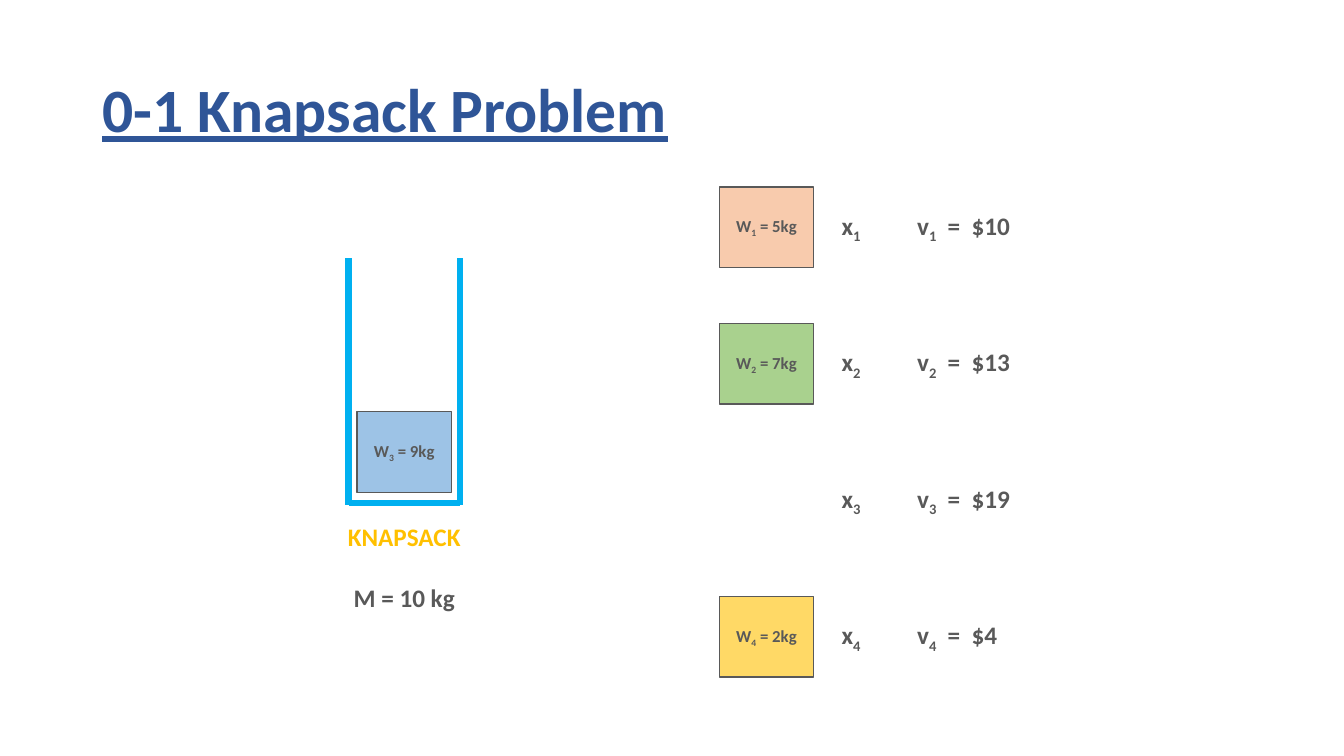
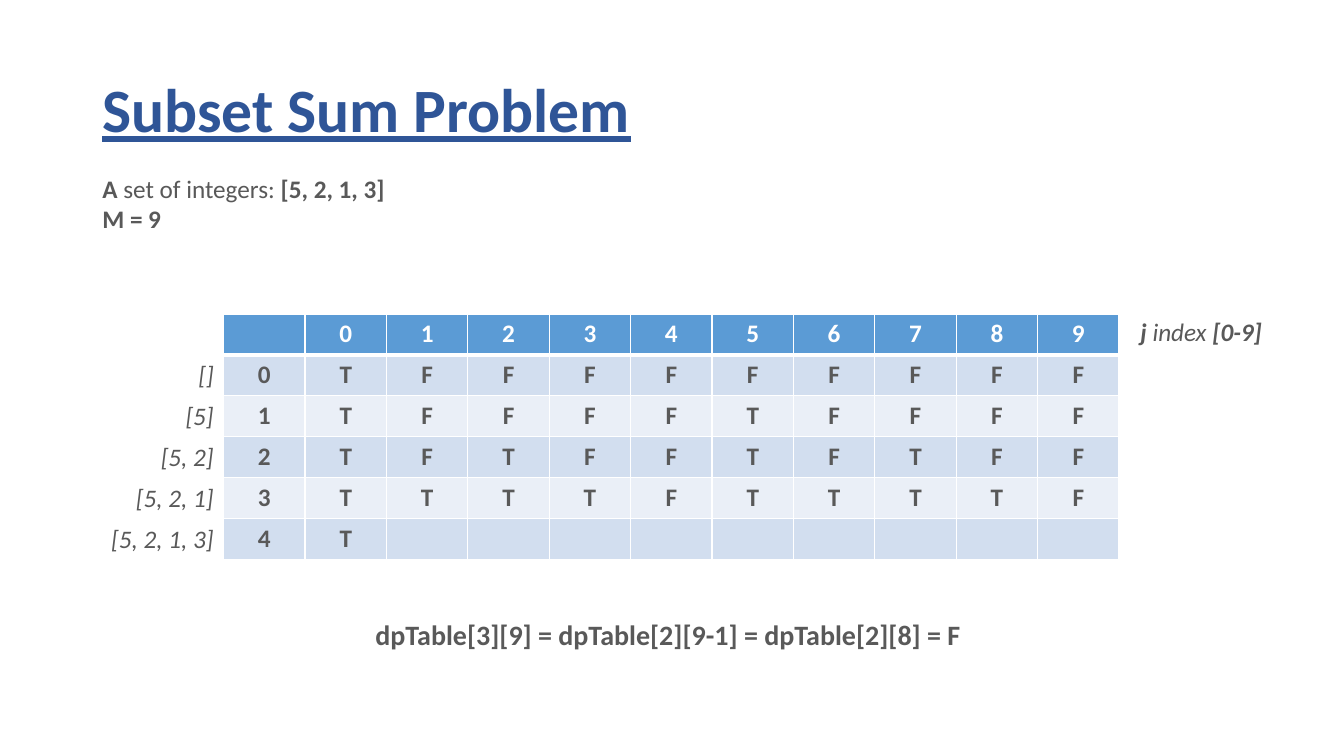
from lxml import etree
from pptx import Presentation
from pptx import util as u
from pptx.dml.color import RGBColor
from pptx.enum import shapes, text
from pptx.oxml import ns

PX = 9525  # EMU per px, 96 px to the inch
FONT = "Calibri"
COLORS = {
    "title": "2F5597", "ink": "595959", "white": "FFFFFF",
    "knapsack": "00B0F0", "caption": "FFC000",
    "item1": "F8CBAD", "item2": "A9D18E", "item3": "9DC3E6", "item4": "FFD966",
    "header": "5B9BD5", "band_dark": "D2DEEF", "band_light": "EAEFF7",
}
ITEM_W, ITEM_H = 90, 77
LEFT, CENTER, RIGHT = text.PP_ALIGN.LEFT, text.PP_ALIGN.CENTER, text.PP_ALIGN.RIGHT
TOP, MIDDLE = text.MSO_ANCHOR.TOP, text.MSO_ANCHOR.MIDDLE


def px(*lengths):
    return [u.Emu(length * PX) for length in lengths]


def color(key):
    return RGBColor.from_string(COLORS[key])


def write(paragraph, pieces, size=18, ink="ink", align=LEFT):
    """Write (text, style) pieces; style letters: b bold, i italic, u underline, s subscript."""
    paragraph.alignment = align
    for words, style in pieces:
        run = paragraph.add_run()
        run.text = words
        font = run.font
        font.name, font.size, font.color.rgb = FONT, u.Pt(size), color(ink)
        font.bold, font.italic, font.underline = ("b" in style, "i" in style, "u" in style)
        if "s" in style:
            run._r.get_or_add_rPr().set("baseline", "-25000")


def add_label(slide, box, pieces, anchor=TOP, **look):
    frame = slide.shapes.add_textbox(*px(*box)).text_frame
    frame.word_wrap = True
    frame.vertical_anchor = anchor
    write(frame.paragraphs[0], pieces, **look)
    return frame


def add_title(slide, title):
    frame = add_label(slide, (88, 38, 1104, 139), [(title, "bu")], MIDDLE,
                      size=44, ink="title")
    frame.paragraphs[0].line_spacing = 0.9


def add_tabs(paragraph, stops):
    tabs = etree.SubElement(paragraph._p.get_or_add_pPr(), ns.qn("a:tabLst"))
    for stop in stops:
        etree.SubElement(tabs, ns.qn("a:tab"), pos=str(stop * PX), algn="l")


def add_item_block(slide, left, top, number, weight):
    block = slide.shapes.add_shape(shapes.MSO_SHAPE.RECTANGLE,
                                   *px(left, top, ITEM_W, ITEM_H))
    block.shadow.inherit = False
    block.fill.solid()
    block.fill.fore_color.rgb = color(f"item{number}")
    block.line.color.rgb = color("ink")
    block.line.width = u.Pt(1)
    block.text_frame.vertical_anchor = MIDDLE
    write(block.text_frame.paragraphs[0],
          [("W", "b"), (str(number), "bs"), (f" = {weight}kg", "b")],
          size=12, align=CENTER)


def add_item_value(slide, left, top, number, value):
    frame = add_label(slide, (left, top, 220, ITEM_H), [], MIDDLE)
    value_line = frame.paragraphs[0]
    add_tabs(value_line, (72, 101, 124))
    write(value_line, [("x", "b"), (str(number), "bs"), ("\tv", "b"),
                       (str(number), "bs"), (f"\t=\t${value}", "b")])


def add_knapsack(slide, left, top, width, height, capacity):
    """Draw the open container with its caption and capacity below."""
    right, bottom, base = left + width, top + height, top + height - 2
    for ends in ((left, top, left, bottom), (left, base, right, base),
                 (right, bottom, right, top)):
        wall = slide.shapes.add_connector(shapes.MSO_CONNECTOR.STRAIGHT, *px(*ends))
        wall.line.color.rgb = color("knapsack")
        wall.line.width = u.Pt(4.5)
        etree.SubElement(wall._element.spPr, ns.qn("a:effectLst"))
    caption = add_label(slide, (left - 20, bottom + 11, width + 40, 97),
                        [("KNAPSACK", "b")], ink="caption", align=CENTER)
    limit = caption.add_paragraph()
    limit.space_before = u.Pt(22)
    write(limit, [(f"M = {capacity} kg", "b")], align=CENTER)


def build_knapsack_slide(slide):
    items = ((5, 10), (7, 13), (9, 19), (2, 4))
    packed = 3
    sack_left, sack_top, sack_w, sack_h = 332, 246, 106, 235
    list_left, list_top, pitch = 685, 178, 130

    add_title(slide, "0-1 Knapsack Problem")
    add_knapsack(slide, sack_left, sack_top, sack_w, sack_h, 10)
    for number, (weight, value) in enumerate(items, 1):
        top = list_top + (number - 1) * pitch
        if number == packed:
            add_item_block(slide, sack_left + (sack_w - ITEM_W) // 2,
                           sack_top + sack_h - ITEM_H - 12, number, weight)
        else:
            add_item_block(slide, list_left, top, number, weight)
        add_item_value(slide, list_left + 107, top, number, value)


def add_borders(cell, top=1, bottom=1):
    properties = cell._tc.get_or_add_tcPr()
    for side, width in (("L", 1), ("R", 1), ("T", top), ("B", bottom)):
        edge = etree.SubElement(properties, ns.qn(f"a:ln{side}"), w=str(u.Pt(width)))
        fill = etree.SubElement(edge, ns.qn("a:solidFill"))
        etree.SubElement(fill, ns.qn("a:srgbClr"), val=COLORS["white"])


def add_truth_table(slide, left, top, width, row_height, rows):
    columns = len(rows[0])
    table = slide.shapes.add_table(
        len(rows), columns, *px(left, top, width, row_height * len(rows))).table
    for column in table.columns:
        column.width = u.Emu(width * PX // columns)
    for r, row in enumerate(rows):
        table.rows[r].height = u.Emu(row_height * PX)
        band = "header" if r == 0 else "band_dark" if r % 2 else "band_light"
        for c, entry in enumerate(row):
            cell = table.cell(r, c)
            add_borders(cell, top=3 if r == 1 else 1, bottom=3 if r == 0 else 1)
            cell.fill.solid()
            cell.fill.fore_color.rgb = color(band)
            if entry.strip():
                write(cell.text_frame.paragraphs[0], [(entry, "b")],
                      ink="ink" if r else "white", align=CENTER)


def build_subset_slide(slide):
    integers = (5, 2, 1, 3)
    rows = (" 0123456789", "0TFFFFFFFFF", "1TFFFFTFFFF",
            "2TFTFFTFTFF", "3TTTTFTTTTF", "4T         ")
    left, top, width, row_height = 213, 299, 853, 39

    add_title(slide, "Subset Sum Problem")
    given = add_label(slide, (88, 160, 320, 68),
                      [("A", "b"), (" set of integers: ", ""), (str(list(integers)), "b")])
    write(given.add_paragraph(), [("M = 9", "b")])
    add_truth_table(slide, left, top, width, row_height, rows)
    for count in range(len(integers) + 1):
        add_label(slide, (left - 130, top + (count + 1) * row_height - 1, 130, row_height),
                  [(str(list(integers[:count])), "i")], MIDDLE, align=RIGHT)
    add_label(slide, (1047, top - 2, 194, row_height),
              [("j", "bi"), (" index ", "i"), ("[0-9]", "bi")], align=CENTER)
    add_label(slide, (348, 583, 600, 42),
              [("dpTable[3][9] = dpTable[2][9-1] = dpTable[2][8] = F", "b")], size=20)


def main():
    deck = Presentation()
    deck.slide_width, deck.slide_height = px(1280, 720)
    for build in (build_knapsack_slide, build_subset_slide):
        build(deck.slides.add_slide(deck.slide_layouts[6]))
    deck.save("out.pptx")


if __name__ == "__main__":
    main()
